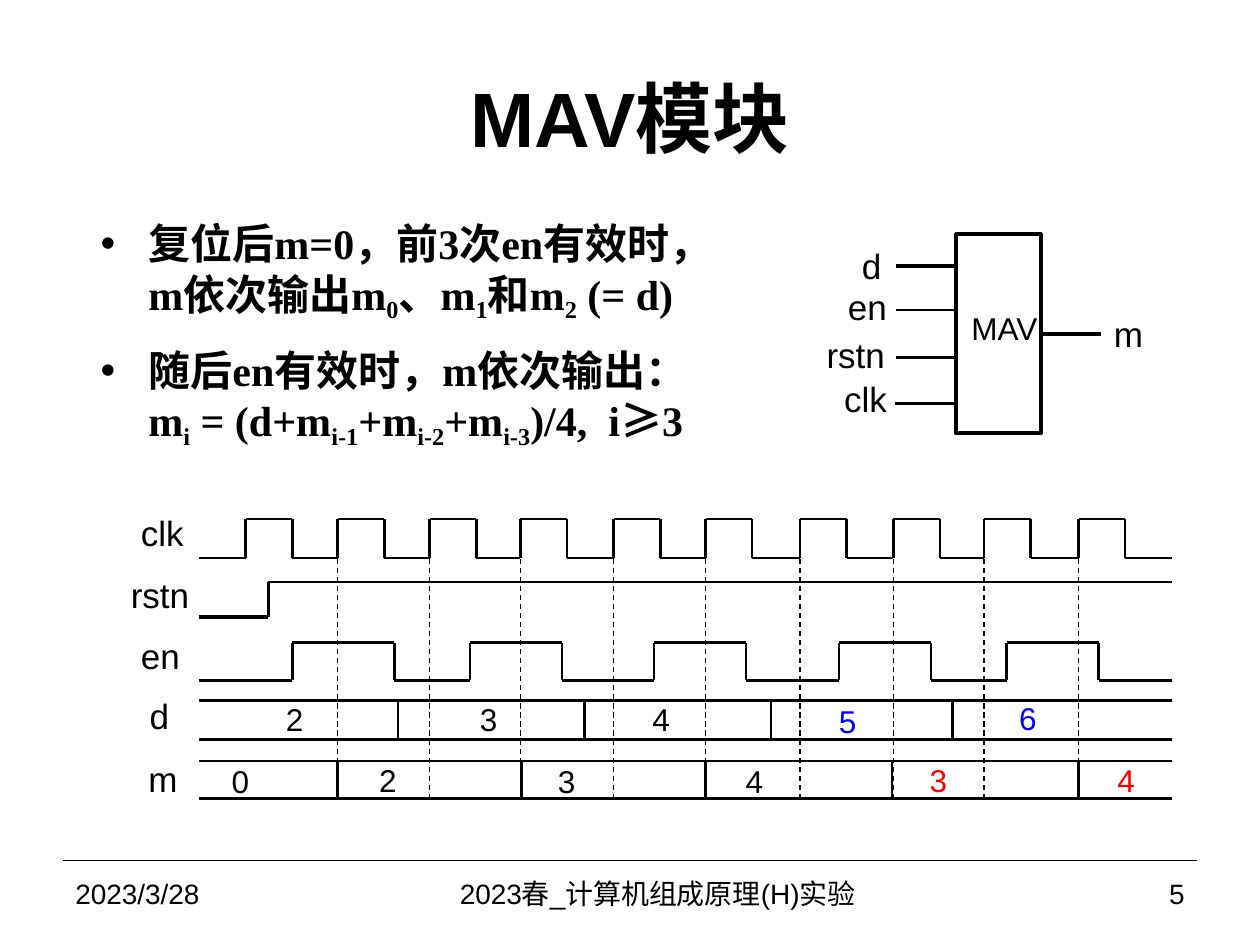
from dataclasses import dataclass
from itertools import chain, pairwise

import lxml.etree
import pptx
import pptx.dml.color
import pptx.enum.dml
import pptx.enum.shapes
import pptx.enum.text
import pptx.oxml.ns
import pptx.util

Inches = pptx.util.Inches
Pt = pptx.util.Pt
Align = pptx.enum.text.PP_ALIGN
Anchor = pptx.enum.text.MSO_ANCHOR


@dataclass(frozen=True)
class Theme:
    sans: str = "Arial"
    serif: str = "Times New Roman"
    chinese: str = "Noto Sans CJK SC"
    black: str = "000000"
    blue: str = "0000FF"
    red: str = "FF0000"
    title: int = 44
    body: int = 24
    label: int = 20
    value: int = 18
    footer: int = 16
    thin: float = 0.75
    medium: float = 1.5
    thick: float = 2.25


THEME = Theme()


@dataclass(frozen=True)
class Box:
    left: float
    top: float
    width: float
    height: float


@dataclass(frozen=True)
class Pin:
    name: str
    label: Box
    start: float
    y: float
    weight: float = THEME.medium


@dataclass(frozen=True)
class Wave:
    high: float
    low: float
    edges: list[float]
    lead_weight: float = THEME.medium


@dataclass(frozen=True)
class Value:
    text: str
    box: Box
    color: str = THEME.black


@dataclass(frozen=True)
class Bus:
    top: float
    bottom: float
    changes: list[float]
    values: list[Value]


WAVE_LEFT, WAVE_RIGHT = 1.58, 9.3
RISES = [1.95, 2.68, 3.41, 4.13, 4.87, 5.6, 6.35, 7.09, 7.81, 8.56]
EN_EDGES = [2.32, 3.13, 3.73, 4.46, 5.19, 5.92, 6.66, 7.39, 7.99, 8.72]
CLOCK_EDGES = list(chain.from_iterable((rise, rise + 0.37) for rise in RISES))

MODULE = Box(7.59, 1.86, 0.67, 1.58)
PINS = [
    Pin("d", Box(6.84, 1.96, 0.2, 0.3), 7.11, 2.11, THEME.thick),
    Pin("en", Box(6.73, 2.23, 0.36, 0.4), 7.11, 2.46),
    Pin("rstn", Box(6.56, 2.61, 0.52, 0.4), 7.11, 2.84),
    Pin("clk", Box(6.7, 2.96, 0.4, 0.4), 7.1, 3.2),
]
SIGNALS = [
    ("clk", Box(1.02, 4.01, 0.58, 0.32)),
    ("rstn", Box(0.94, 4.5, 0.67, 0.44)),
    ("en", Box(1.02, 4.99, 0.58, 0.37)),
    ("d", Box(1.09, 5.46, 0.36, 0.44)),
    ("m", Box(1.08, 5.96, 0.44, 0.44)),
]
WAVES = [
    Wave(4.12, 4.43, CLOCK_EDGES),
    Wave(4.62, 4.9, [2.13], THEME.thick),
    Wave(5.1, 5.4, EN_EDGES),
]
BUSES = [
    Bus(5.56, 5.87, [3.16, 4.64, 6.12, 7.56], [
        Value("2", Box(2.17, 5.51, 0.25, 0.37)),
        Value("3", Box(3.71, 5.51, 0.25, 0.37)),
        Value("4", Box(5.08, 5.51, 0.25, 0.37)),
        Value("5", Box(6.56, 5.52, 0.32, 0.4), THEME.blue),
        Value("6", Box(7.99, 5.5, 0.32, 0.4), THEME.blue),
    ]),
    Bus(6.04, 6.34, [2.68, 4.14, 5.6, 7.08, 8.56], [
        Value("0", Box(1.74, 6, 0.28, 0.34)),
        Value("2", Box(2.91, 5.99, 0.25, 0.37)),
        Value("3", Box(4.33, 6, 0.25, 0.37)),
        Value("4", Box(5.82, 6, 0.32, 0.4)),
        Value("3", Box(7.28, 5.99, 0.32, 0.4), THEME.red),
        Value("4", Box(8.77, 5.99, 0.32, 0.4), THEME.red),
    ]),
]
BULLETS = [
    (6, ["复位后m=0，前3次en有效时，m依次输出m", "0", "、m", "1", "和m", "2", " (= d)"]),
    (12, ["随后en有效时，m依次输出：m", "i", " = (d+m", "i-1", "+m", "i-2", "+m", "i-3",
          ")/4,  i", "", "≥", "", "3"]),
]


def place(box: Box) -> tuple:
    return Inches(box.left), Inches(box.top), Inches(box.width), Inches(box.height)


def format_run(run, size: int, color: str, font: str, bold: bool = False) -> None:
    run.font.size = Pt(size)
    run.font.name = font
    run.font.bold = bold
    run.font.color.rgb = pptx.dml.color.RGBColor.from_string(color)
    latin = run._r.get_or_add_rPr().find(pptx.oxml.ns.qn("a:latin"))
    latin.addnext(lxml.etree.Element(pptx.oxml.ns.qn("a:ea"), typeface=THEME.chinese))


def draw_text(slide, text: str, box: Box, size: int, color: str = THEME.black,
              align=Align.LEFT, anchor=Anchor.TOP, bold: bool = False,
              wrap: bool = False, inset: bool = True, grow: bool = False) -> None:
    frame = slide.shapes.add_textbox(*place(box)).text_frame
    frame.text = text
    frame.word_wrap = wrap
    frame.vertical_anchor = anchor
    if grow:
        frame.auto_size = pptx.enum.text.MSO_AUTO_SIZE.SHAPE_TO_FIT_TEXT
    if not inset:
        frame.margin_left = frame.margin_right = 0
        frame.margin_top = frame.margin_bottom = 0
    paragraph = frame.paragraphs[0]
    paragraph.alignment = align
    format_run(paragraph.runs[0], size, color, THEME.sans, bold)


def draw_line(slide, x1: float, y1: float, x2: float, y2: float,
              weight: float = THEME.medium, dashed: bool = False):
    line = slide.shapes.add_connector(
        pptx.enum.shapes.MSO_CONNECTOR.STRAIGHT,
        Inches(x1), Inches(y1), Inches(x2), Inches(y2))
    line.line.width = Pt(weight)
    line.line.color.rgb = pptx.dml.color.RGBColor.from_string(THEME.black)
    if dashed:
        line.line.dash_style = pptx.enum.dml.MSO_LINE.DASH
    lxml.etree.SubElement(line._element.spPr, pptx.oxml.ns.qn("a:effectLst"))
    return line


def draw_bullets(slide) -> None:
    frame = slide.shapes.add_textbox(*place(Box(0.7, 1.68, 5.14, 2.45))).text_frame
    frame.word_wrap = True
    for index, (space, pieces) in enumerate(BULLETS):
        paragraph = frame.add_paragraph() if index else frame.paragraphs[0]
        paragraph.space_before = Pt(space)
        properties = paragraph._p.get_or_add_pPr()
        properties.set("marL", str(Inches(0.38)))
        properties.set("indent", str(Inches(-0.38)))
        lxml.etree.SubElement(properties, pptx.oxml.ns.qn("a:buFont"), typeface=THEME.sans)
        lxml.etree.SubElement(properties, pptx.oxml.ns.qn("a:buChar"), char="•")
        for position, piece in enumerate(pieces):
            if not piece:
                continue
            run = paragraph.add_run()
            run.text = piece
            font = THEME.chinese if piece == "≥" else THEME.serif
            format_run(run, THEME.body, THEME.black, font, bold=True)
            if position % 2:
                run._r.get_or_add_rPr().set("baseline", "-20000")


def draw_module(slide) -> None:
    block = slide.shapes.add_shape(pptx.enum.shapes.MSO_SHAPE.RECTANGLE, *place(MODULE))
    block.shadow.inherit = False
    block.fill.background()
    block.line.width = Pt(THEME.thick)
    block.line.color.rgb = pptx.dml.color.RGBColor.from_string(THEME.black)
    draw_text(slide, "MAV", Box(7.71, 2.4, 0.6, 0.4), THEME.value,
              anchor=Anchor.MIDDLE, inset=False)
    for pin in PINS:
        draw_line(slide, pin.start, pin.y, MODULE.left, pin.y, pin.weight)
        draw_text(slide, pin.name, pin.label, THEME.label,
                  anchor=Anchor.MIDDLE, inset=False)
    output = draw_line(slide, 8.26, 2.65, 8.74, 2.65, THEME.thick)
    output.begin_connect(block, 3)
    draw_text(slide, "m", Box(8.84, 2.45, 0.36, 0.4), THEME.label,
              anchor=Anchor.MIDDLE, inset=False)


def draw_wave(slide, wave: Wave) -> None:
    stops = [WAVE_LEFT, *wave.edges, WAVE_RIGHT]
    for index, (start, end) in enumerate(pairwise(stops)):
        level = wave.high if index % 2 else wave.low
        weight = THEME.medium if index else wave.lead_weight
        draw_line(slide, start, level, end, level, weight)
    for edge in wave.edges:
        draw_line(slide, edge, wave.high, edge, wave.low)


def draw_bus(slide, bus: Bus) -> None:
    draw_line(slide, WAVE_LEFT, bus.bottom, 7.1, bus.bottom, THEME.thin, dashed=True)
    for level in (bus.top, bus.bottom):
        draw_line(slide, WAVE_LEFT, level, WAVE_RIGHT, level)
    for change in bus.changes:
        draw_line(slide, change, bus.top, change, bus.bottom)
    for value in bus.values:
        draw_text(slide, value.text, value.box, THEME.value, value.color, grow=True)


def draw_footer(slide) -> None:
    draw_line(slide, 0.5, 6.83, 9.5, 6.83, THEME.thin)
    for text, left, width, align in [
        ("2023/3/28", 0.5, 2.33, Align.LEFT),
        ("2023春_计算机组成原理(H)实验 ", 2.83, 4.83, Align.CENTER),
        ("5", 7.75, 1.75, Align.RIGHT),
    ]:
        draw_text(slide, text, Box(left, 6.83, width, 0.52), THEME.footer,
                  align=align, anchor=Anchor.MIDDLE, wrap=True)


def main() -> None:
    presentation = pptx.Presentation()
    presentation.slide_width, presentation.slide_height = Inches(10), Inches(7.5)
    slide = presentation.slides.add_slide(presentation.slide_layouts[6])
    draw_text(slide, "MAV模块", Box(0.5, 0.3, 9, 1.25), THEME.title, align=Align.CENTER,
              anchor=Anchor.MIDDLE, bold=True, wrap=True)
    draw_bullets(slide)
    draw_module(slide)
    for name, box in SIGNALS:
        draw_text(slide, name, box, THEME.label, grow=True)
    for rise in RISES[1:]:
        draw_line(slide, rise, 6.34, rise, 4.12, THEME.thin, dashed=True)
    for wave in WAVES:
        draw_wave(slide, wave)
    for bus in BUSES:
        draw_bus(slide, bus)
    draw_footer(slide)
    presentation.save("out.pptx")


if __name__ == "__main__":
    main()
